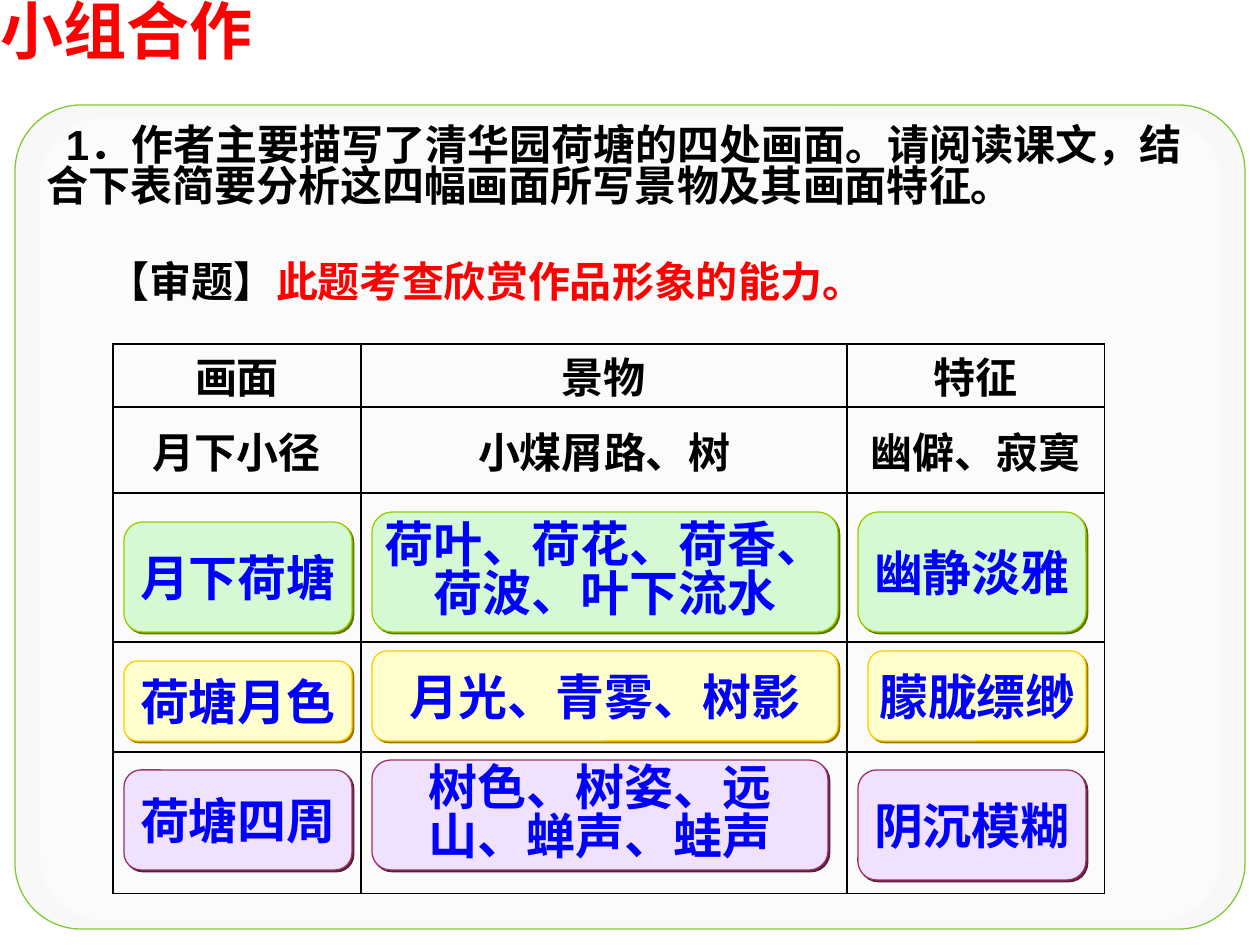
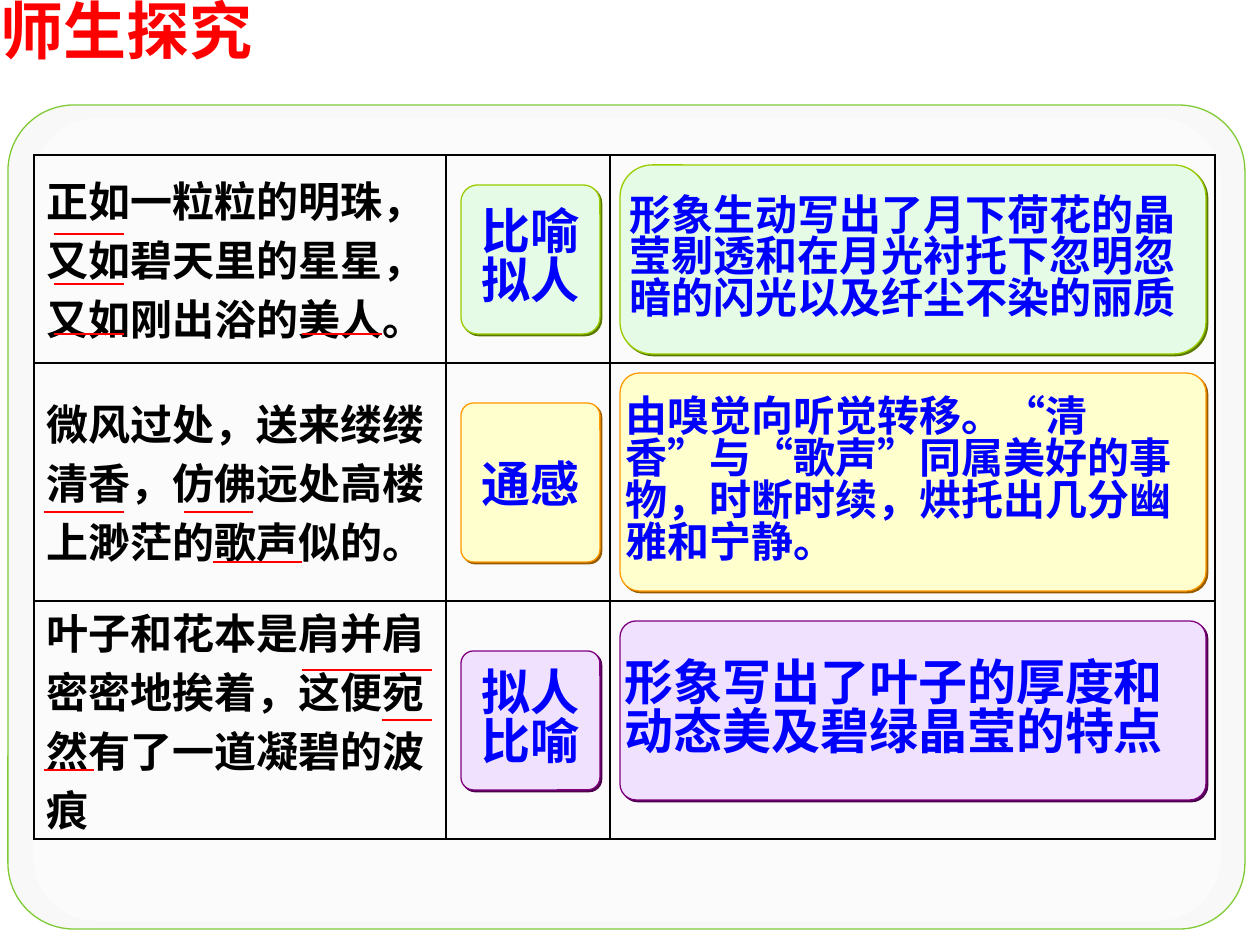
from lxml import etree
from pptx import Presentation
from pptx.dml.color import RGBColor
from pptx.enum.shapes import MSO_CONNECTOR, MSO_SHAPE
from pptx.enum.text import MSO_ANCHOR, MSO_AUTO_SIZE, PP_ALIGN
from pptx.oxml.ns import qn
from pptx.util import Emu, Pt

LEFT, CENTER = PP_ALIGN.LEFT, PP_ALIGN.CENTER
TOP, MIDDLE = MSO_ANCHOR.TOP, MSO_ANCHOR.MIDDLE
ROUNDED = MSO_SHAPE.ROUNDED_RECTANGLE
STRAIGHT = MSO_CONNECTOR.STRAIGHT

EMU_PER_PX = 914400 / 126
CJK_FONT, LATIN_FONT, SERIF_FONT = "Noto Sans CJK SC", "Arial", "Times New Roman"
TITLE_ONLY = 5
TIGHT, SNUG = 0.83, 0.9  # line spacing of wrapped text and of single headings

COLORS = {
    "red": "FF0000", "black": "000000", "blue": "0000FF", "white": "FFFFFF",
    "panel": "F8F8F8", "panel_line": "80CB35", "text_shadow": "808080",
}
# fill, line, shadow
GREEN = ("D5F9D3", "99CC00", "5B7900")
PALE_GREEN = ("E6FBE5", "99CC00", "5B7900")
YELLOW = ("FFFFCD", "FFCC00", "987900")
ORANGE = ("FFFFCD", "FF9900", "985B00")
PLUM = ("F0E1FF", "993366", "5B1E3C")
PURPLE = ("F0E1FF", "800080", "4C004C")


def px(value):
    return Emu(round(value * EMU_PER_PX))


def rgb(name):
    return RGBColor.from_string(COLORS.get(name, name))


def add_element(parent, tag, **attributes):
    return etree.SubElement(parent, qn(tag), attributes)


def add_shadow(effects, color, distance):
    """Fill an effect list with a hard shadow towards the lower right."""
    shadow = add_element(effects, "a:outerShdw", dist=str(distance), dir="2700000",
                         algn="ctr", rotWithShape="0")
    add_element(shadow, "a:srgbClr", val=color)


def add_run(paragraph, text, size, color, font=LATIN_FONT, shadowed=False):
    run = paragraph.add_run()
    run.text = text
    run.font.size, run.font.bold, run.font.name = Pt(size), True, font
    run.font.color.rgb = rgb(color)
    properties = run._r.get_or_add_rPr()
    properties.set("lang", "zh-CN")
    add_element(properties, "a:ea", typeface=CJK_FONT)
    if shadowed:
        effects = etree.Element(qn("a:effectLst"))
        add_shadow(effects, COLORS["text_shadow"], 17960)
        properties.find(qn("a:solidFill")).addnext(effects)


def set_frame(frame, anchor, margins=(0, 0)):
    frame.word_wrap = True
    frame.auto_size = MSO_AUTO_SIZE.NONE
    frame.vertical_anchor = anchor
    frame.margin_left = frame.margin_right = px(margins[0])
    frame.margin_top = frame.margin_bottom = px(margins[1])


def format_paragraph(paragraph, alignment=LEFT, spacing=None):
    paragraph.alignment = alignment
    paragraph.space_before = Pt(0)
    if spacing:
        paragraph.line_spacing = spacing


def add_title(slide, text):
    title = slide.shapes.title
    title.left, title.top, title.width, title.height = map(px, (0, 0, 422, 76))
    set_frame(title.text_frame, TOP)
    paragraph = title.text_frame.paragraphs[0]
    format_paragraph(paragraph, spacing=SNUG)
    add_run(paragraph, text, 36, "red", shadowed=True)


def add_rounded(slide, box, fill, corner):
    shape = slide.shapes.add_shape(ROUNDED, *map(px, box))
    shape.adjustments[0] = corner
    shape.shadow.inherit = False
    shape.fill.solid()
    shape.fill.fore_color.rgb = rgb(fill)
    return shape


def add_panel(slide, left):
    """Draw the large background panel, whose right edge is fixed."""
    outer = add_rounded(slide, (left, 105, 1245 - left, 824), "panel", 0.08)
    outer.line.color.rgb = rgb("panel_line")
    outer.line.width = Pt(0.75)
    inner = add_rounded(slide, (left + 25, 118, 1196 - left, 803), "white", 0.08)
    inner.line.fill.background()
    color = inner._element.spPr.find(qn("a:solidFill"))[0]
    add_element(color, "a:alpha", val="50000")


def add_answer(slide, box, lines, palette, size=28, alignment=CENTER, corner=0.17):
    fill, line, shadow = palette
    shape = add_rounded(slide, box, fill, corner)
    shape.line.color.rgb = rgb(line)
    shape.line.width = Pt(0.75)
    add_shadow(shape._element.spPr.find(qn("a:effectLst")), shadow, 17960)
    frame = shape.text_frame
    set_frame(frame, MIDDLE)
    wrapped = len(lines) > 1 or alignment == LEFT
    for index, text in enumerate(lines):
        paragraph = frame.add_paragraph() if index else frame.paragraphs[0]
        format_paragraph(paragraph, alignment, TIGHT if wrapped else None)
        add_run(paragraph, text, size, "blue")


def add_text(slide, box, runs, anchor, spacing, indent=0):
    """Add one shadowed paragraph from (text, color) runs."""
    frame = slide.shapes.add_textbox(*map(px, box)).text_frame
    set_frame(frame, anchor, (13, 6))
    paragraph = frame.paragraphs[0]
    format_paragraph(paragraph, spacing=spacing)
    paragraph._p.get_or_add_pPr().set("indent", str(px(indent)))
    for text, color in runs:
        add_run(paragraph, text, 24, color, shadowed=True)


def format_cell(cell):
    properties = cell._tc.get_or_add_tcPr()
    for side in ("a:lnL", "a:lnR", "a:lnT", "a:lnB"):
        border = add_element(properties, side, w=str(Pt(0.75)))
        fill = add_element(border, "a:solidFill")
        add_element(fill, "a:srgbClr", val=COLORS["black"])
    cell.fill.background()
    cell.vertical_anchor = MIDDLE
    cell.margin_left = cell.margin_right = px(13)
    cell.margin_top = cell.margin_bottom = 0


def add_grid(slide, origin, widths, heights, rows, font, alignment, spacing=None):
    """Add a ruled table; cells without text in rows stay empty."""
    table = slide.shapes.add_table(
        len(heights), len(widths), *map(px, (*origin, sum(widths), sum(heights)))).table
    table.first_row = table.horz_banding = False
    for column, width in zip(table.columns, widths):
        column.width = px(width)
    for row, height in zip(table.rows, heights):
        row.height = px(height)
    for cell in table.iter_cells():
        format_cell(cell)
    for row_index, row in enumerate(rows):
        for column_index, text in enumerate(row):
            paragraph = table.cell(row_index, column_index).text_frame.paragraphs[0]
            format_paragraph(paragraph, alignment, spacing)
            add_run(paragraph, text, 24, "black", font)


def add_underline(slide, left, right, y):
    line = slide.shapes.add_connector(STRAIGHT, *map(px, (left, y, right, y)))
    line.line.color.rgb = rgb("red")
    line.line.width = Pt(1)
    add_element(line._element.spPr, "a:effectLst")


def start_slide(presentation, title, panel_left):
    slide = presentation.slides.add_slide(presentation.slide_layouts[TITLE_ONLY])
    add_panel(slide, panel_left)
    add_title(slide, title)
    return slide


def build_group_work(presentation):
    slide = start_slide(presentation, "小组合作", 15)
    question = "1．作者主要描写了清华园荷塘的四处画面。请阅读课文，结合下表简要分析这四幅画面所写景物及其画面特征。"
    add_text(slide, (34, 112, 1191, 113), [(question, "black")], MIDDLE, TIGHT, indent=19)
    add_grid(slide, (113, 344), (248, 486, 258), (63, 86, 149, 110, 142),
             [("画面", "景物", "特征"), ("月下小径", "小煤屑路、树", "幽僻、寂寞")],
             SERIF_FONT, CENTER)
    answers = [
        (GREEN, [((124, 522, 228, 110), ["月下荷塘"]),
                 ((372, 512, 466, 120), ["荷叶、荷花、荷香、", "荷波、叶下流水"]),
                 ((858, 512, 228, 120), ["幽静淡雅"])]),
        (YELLOW, [((124, 661, 228, 80), ["荷塘月色"]),
                  ((372, 651, 466, 90), ["月光、青雾、树影"]),
                  ((868, 651, 218, 90), ["朦胧缥缈"])]),
        (PLUM, [((124, 770, 228, 100), ["荷塘四周"]),
                ((372, 760, 456, 110), ["树色、树姿、远", "山、蝉声、蛙声"]),
                ((858, 770, 228, 110), ["阴沉模糊"])]),
    ]
    for palette, row in answers:
        for box, lines in row:
            add_answer(slide, box, lines, palette)
    add_text(slide, (95, 255, 853, 63),
             [("【审题】", "black"), ("此题考查欣赏作品形象的能力。", "red")], TOP, SNUG)


def build_exploration(presentation):
    slide = start_slide(presentation, "师生探究", 8)
    quotes = [("正如一粒粒的明珠，又如碧天里的星星，又如刚出浴的美人。",),
              ("微风过处，送来缕缕清香，仿佛远处高楼上渺茫的歌声似的。",),
              ("叶子和花本是肩并肩密密地挨着，这便宛然有了一道凝碧的波痕",)]
    add_grid(slide, (34, 155), (412, 164, 605), (208, 238, 238), quotes,
             CJK_FONT, LEFT, spacing=0.97)

    # palette, then top, height, corner and lines of the device
    devices = [(PALE_GREEN, 185, 149, 0.12, ["比喻", "拟人"]),
               (ORANGE, 403, 159, 0.09, ["通感"]),
               (PURPLE, 651, 139, 0.09, ["拟人", "比喻"])]
    for palette, top, height, corner, lines in devices:
        add_answer(slide, (461, top, 139, height), lines, palette, corner=corner)

    effects = [
        (PALE_GREEN, 165, 189, 0.17, 24,
         "形象生动写出了月下荷花的晶莹剔透和在月光衬托下忽明忽暗的闪光以及纤尘不染的丽质"),
        (ORANGE, 373, 218, 0.09, 24,
         "由嗅觉向听觉转移。“清香”与“歌声”同属美好的事物，时断时续，烘托出几分幽雅和宁静。"),
        (PURPLE, 621, 179, 0.09, 28, "形象写出了叶子的厚度和动态美及碧绿晶莹的特点"),
    ]
    for palette, top, height, corner, size, text in effects:
        add_answer(slide, (620, top, 586, height), [text], palette, size, LEFT, corner)

    underlines = [(54, 124, 234), (54, 124, 284), (54, 124, 334), (302, 382, 334),
                  (44, 124, 512), (184, 253, 512), (213, 302, 562),
                  (302, 432, 670), (382, 432, 720), (44, 94, 770)]
    for left, right, y in underlines:
        add_underline(slide, left, right, y)


def main():
    presentation = Presentation()
    presentation.slide_width, presentation.slide_height = px(1260), px(945)
    build_group_work(presentation)
    build_exploration(presentation)
    presentation.save("out.pptx")


if __name__ == "__main__":
    main()
